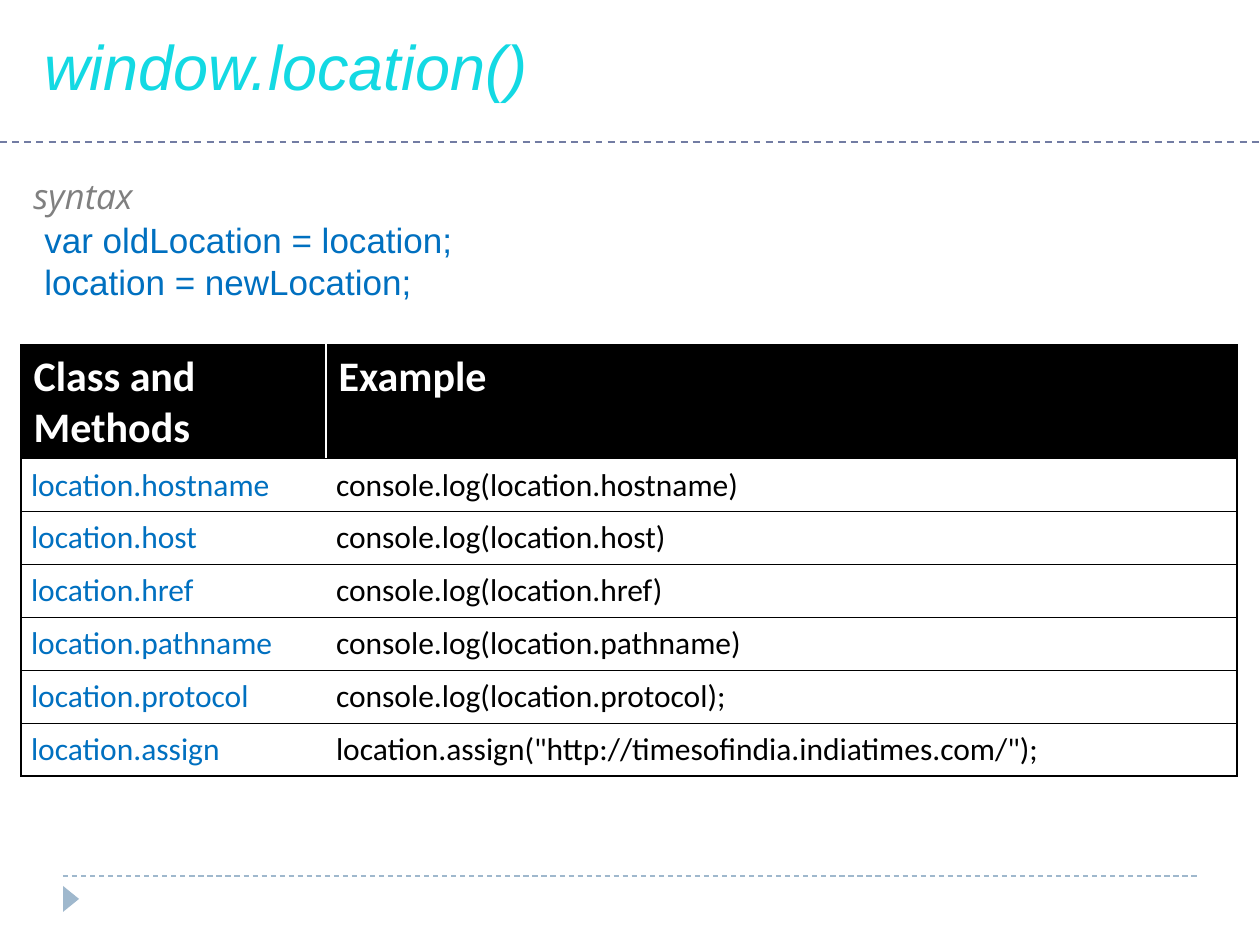
from lxml import etree
from pptx import Presentation, util as u
from pptx.dml.color import RGBColor
from pptx.enum import dml, shapes, text
from pptx.oxml.ns import qn

COLORS = {
    "title": "13D9E3", "code": "0070C0", "label": "808080", "rule": "727CA3",
    "accent": "9FB8CD", "black": "000000", "white": "FFFFFF",
}
TEXTS = [
    ((32, 21, 1187, 89), ["window.location()"],
     "title", {"name": "Arial", "size": u.Pt(36), "italic": True}),
    ((32, 212, 1197, 97), ["var oldLocation = location;", "location = newLocation;"],
     "code", {"name": "Arial", "size": u.Pt(20)}),
    ((21, 168, 1218, 55), ["syntax"],
     "label", {"name": "Open Sans", "size": u.Pt(20), "italic": True}),
]
RULES = [((63, 876, 1197, 876), "accent", 0.75), ((0, 142, 1260, 142), "rule", 1)]
MARKER = (58, 891, 26, 16)
ROWS = [
    ("Class and Methods", "Example"),
    ("location.hostname", "console.log(location.hostname)"),
    ("location.host", "console.log(location.host)"),
    ("location.href", "console.log(location.href)"),
    ("location.pathname", "console.log(location.pathname)"),
    ("location.protocol", "console.log(location.protocol);"),
    ("location.assign", 'location.assign("http://timesofindia.indiatimes.com/");'),
]
TABLE_AT = (21, 345)
COLUMNS = (305, 911)
ROW_HEIGHT = 52
HEADER = {"name": "Calibri", "size": u.Pt(24), "bold": True}
BODY = {"name": "Calibri", "size": u.Pt(18), "bold": False}
BODY_CELL = {
    "vertical_anchor": text.MSO_ANCHOR.MIDDLE,
    "margin_left": u.Inches(0.08), "margin_right": u.Inches(0.08),
    "margin_top": u.Inches(0.06), "margin_bottom": u.Inches(0.06),
}
SCALE = 914400 // 126


def px(*lengths):
    return [u.Emu(n * SCALE) for n in lengths]


def rgb(color):
    return RGBColor.from_string(COLORS[color])


def apply(target, values):
    for name, value in values.items():
        setattr(target, name, value)


def write(p, words, color, font):
    r = p.add_run()
    r.text = words
    apply(r.font, font)
    r.font.color.rgb = rgb(color)


def add_rule(s, ends, color, width):
    line = s.shapes.add_connector(shapes.MSO_CONNECTOR.STRAIGHT, *px(*ends))
    line.line.color.rgb = rgb(color)
    line.line.width = u.Pt(width)
    line.line.dash_style = dml.MSO_LINE.DASH
    etree.SubElement(line._element.spPr, qn("a:effectLst"))


def add_text(s, box, lines, color, font):
    tf = s.shapes.add_textbox(*px(*box)).text_frame
    tf.word_wrap = True
    tf.auto_size = text.MSO_AUTO_SIZE.SHAPE_TO_FIT_TEXT
    for i, words in enumerate(lines):
        write(tf.add_paragraph() if i else tf.paragraphs[0], words, color, font)


def add_borders(cell, sides):
    tc_pr = cell._tc.get_or_add_tcPr()
    for i, side in enumerate(sides):
        ln = etree.Element(qn("a:ln" + side), w=str(u.Pt(0.75)))
        fill = etree.SubElement(ln, qn("a:solidFill"))
        etree.SubElement(fill, qn("a:srgbClr"), val=COLORS["black"])
        tc_pr.insert(i, ln)


def add_table(s):
    size = (sum(COLUMNS), ROW_HEIGHT * len(ROWS))
    table = s.shapes.add_table(len(ROWS), len(COLUMNS), *px(*TABLE_AT, *size)).table
    table.horz_banding = False
    for column, width in zip(table.columns, px(*COLUMNS)):
        column.width = width
    for i, row in enumerate(ROWS):
        table.rows[i].height = px(ROW_HEIGHT)[0]
        for j, words in enumerate(row):
            cell = table.cell(i, j)
            cell.fill.solid()
            cell.fill.fore_color.rgb = rgb("white" if i else "black")
            add_borders(cell, ("RTB" if j else "LTB"))
            if i:
                apply(cell, BODY_CELL)
                color = "black" if j else "code"
            else:
                color = "white"
            write(cell.text_frame.paragraphs[0], words, color, BODY if i else HEADER)


def main():
    prs = Presentation()
    prs.slide_width, prs.slide_height = u.Inches(10), u.Inches(7.5)
    s = prs.slides.add_slide(prs.slide_layouts[6])
    for rule in RULES:
        add_rule(s, *rule)
    marker = s.shapes.add_shape(shapes.MSO_SHAPE.ISOSCELES_TRIANGLE, *px(*MARKER))
    marker.rotation = 90
    marker.shadow.inherit = False
    marker.fill.solid()
    marker.fill.fore_color.rgb = rgb("accent")
    marker.line.fill.background()
    for item in TEXTS:
        add_text(s, *item)
    add_table(s)
    prs.save("out.pptx")


if __name__ == "__main__":
    main()
